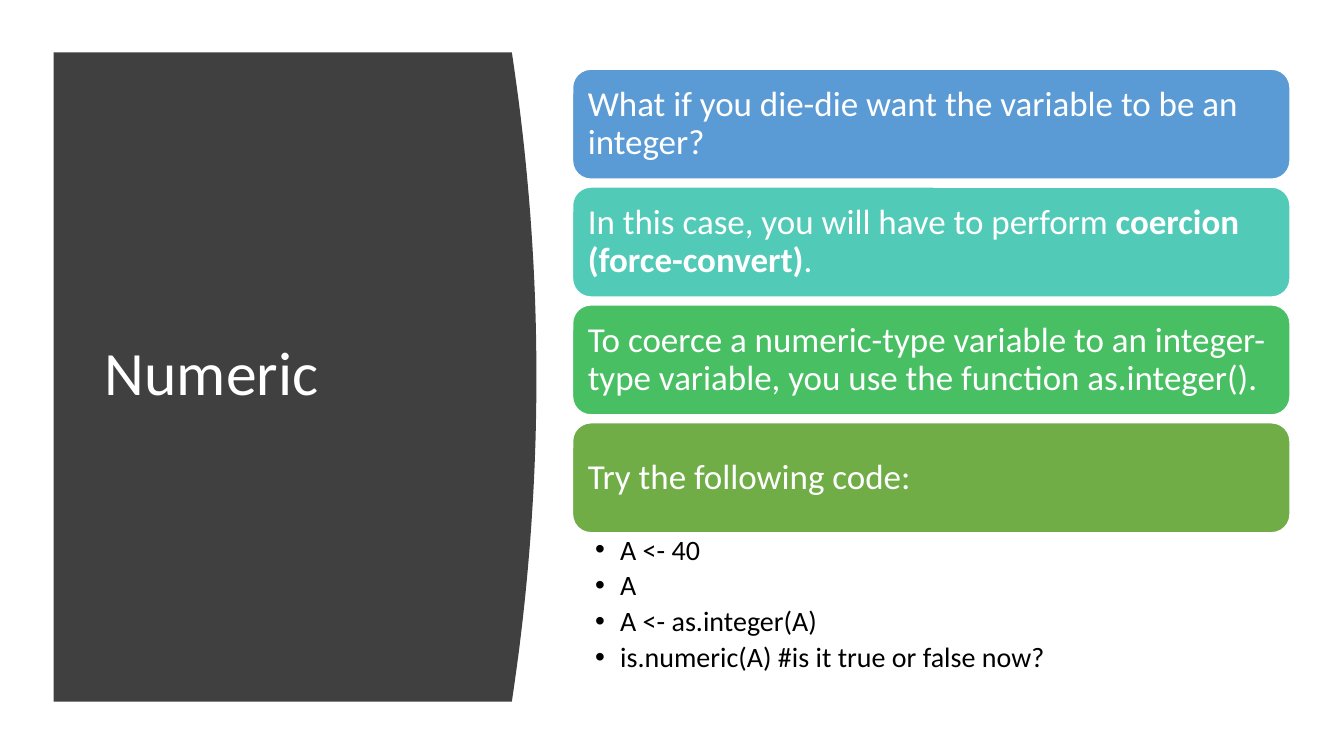
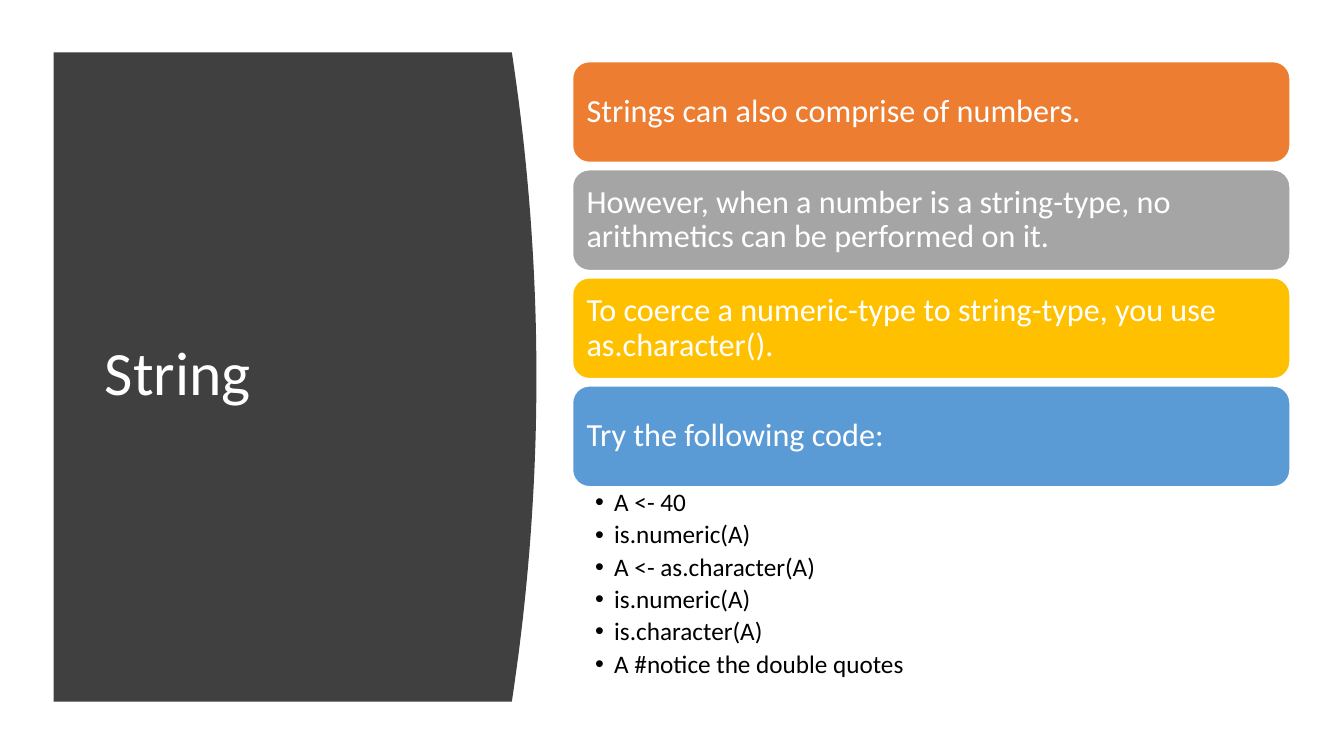
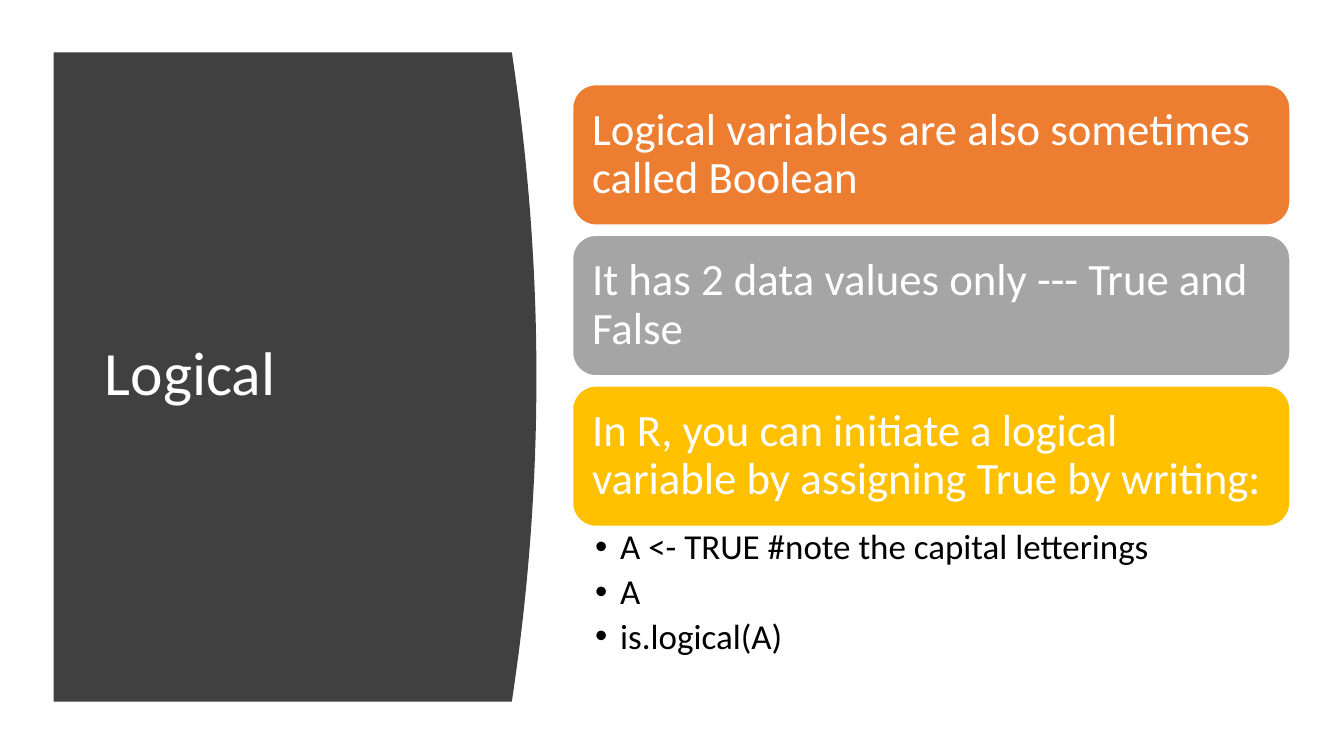
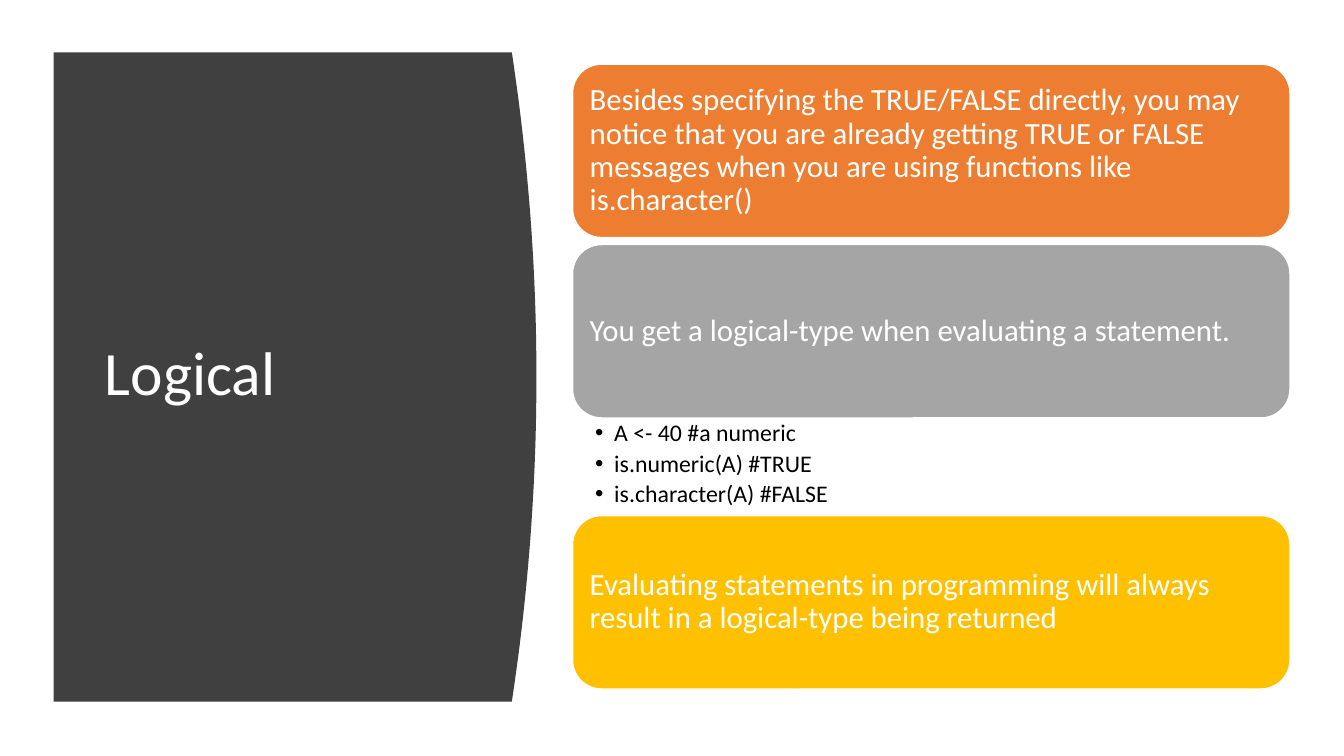
from lxml import etree
from pptx import Presentation
from pptx.dml.color import RGBColor
from pptx.enum.shapes import MSO_SHAPE
from pptx.enum.text import MSO_ANCHOR, PP_ALIGN
from pptx.oxml.ns import qn
from pptx.util import Cm, Pt

ROUND = MSO_SHAPE.ROUNDED_RECTANGLE
MIDDLE = MSO_ANCHOR.MIDDLE
TOP = MSO_ANCHOR.TOP
LEFT = PP_ALIGN.LEFT

FONT = "Calibri"
WHITE = RGBColor(0xFF, 0xFF, 0xFF)
BLACK = RGBColor(0x00, 0x00, 0x00)
DARK = RGBColor(0x40, 0x40, 0x40)
BLUE = RGBColor(0x5B, 0x9B, 0xD5)
TEAL = RGBColor(0x52, 0xCA, 0xB8)
GREEN = RGBColor(0x49, 0xBF, 0x64)
OLIVE = RGBColor(0x70, 0xAD, 0x47)
ORANGE = RGBColor(0xED, 0x7D, 0x31)
GRAY = RGBColor(0xA5, 0xA5, 0xA5)
GOLD = RGBColor(0xFF, 0xC0, 0x00)
COOL = [BLUE, TEAL, GREEN, OLIVE]
WARM = [ORANGE, GRAY, GOLD, BLUE]

STACK_X, STACK_W, STACK_MID = 14.43, 18.08, 9.49
PANEL_X, PANEL_Y, PANEL_W, PANEL_H = 1.35, 1.32, 11.55, 16.36
BULGE = 0.62
STEPS = 40


def style(para, size, color):
    """Give a paragraph the shared font and line spacing."""
    para.alignment = LEFT
    para.line_spacing = 0.9
    font = para.font
    font.name, font.size, font.color.rgb = FONT, Pt(size), color


def inset(frame, left, top, right):
    """Set the margins of a text frame, the bottom as the top."""
    frame.word_wrap = True
    frame.margin_left, frame.margin_right = Cm(left), Cm(right)
    frame.margin_top = frame.margin_bottom = Cm(top)


def add_panel(slide):
    """Draw the dark panel with its bowed right edge behind the title."""
    edge = []
    for i in range(STEPS + 1):
        part = i / STEPS
        bow = BULGE * (1 - (2 * part - 1) ** 2)
        edge.append((Cm(PANEL_X + PANEL_W + bow), Cm(PANEL_Y + PANEL_H * part)))
    edge.append((Cm(PANEL_X), Cm(PANEL_Y + PANEL_H)))
    pen = slide.shapes.build_freeform(Cm(PANEL_X), Cm(PANEL_Y))
    pen.add_line_segments(edge, close=True)
    panel = pen.convert_to_shape()
    panel.shadow.inherit = False
    panel.fill.solid()
    panel.fill.fore_color.rgb = DARK
    panel.line.fill.background()
    slide.shapes.title._element.addprevious(panel._element)


def add_title(slide, text):
    """Place the title on the panel."""
    title = slide.shapes.title
    title.left, title.top = Cm(2.39), Cm(2.82)
    title.width, title.height = Cm(9.5), Cm(13.31)
    frame = title.text_frame
    frame.text = text
    frame.word_wrap = True
    frame.vertical_anchor = MIDDLE
    style(frame.paragraphs[0], 44, WHITE)


def add_box(slide, top, height, text, size, color):
    """Draw a coloured box; text between double stars is bold."""
    box = slide.shapes.add_shape(ROUND, Cm(STACK_X), Cm(top), Cm(STACK_W), Cm(height))
    box.shadow.inherit = False
    box.fill.solid()
    box.fill.fore_color.rgb = color
    box.line.color.rgb = WHITE
    box.line.width = Pt(1)
    frame = box.text_frame
    inset(frame, size / 100, size / 100, size / 100)
    frame.vertical_anchor = MIDDLE
    para = frame.paragraphs[0]
    for i, part in enumerate(text.split("**")):
        run = para.add_run()
        run.text = part
        if i % 2:
            run.font.bold = True
    style(para, size, WHITE)


def add_list(slide, top, height, lines, size):
    """Write the bulleted code lines below a box."""
    area = slide.shapes.add_textbox(Cm(STACK_X), Cm(top), Cm(STACK_W), Cm(height))
    frame = area.text_frame
    inset(frame, 0.57, 0.08, 0.5)
    frame.vertical_anchor = TOP
    hang = Cm(0.63 if size >= 20 else 0.48)
    for i, line in enumerate(lines):
        para = frame.add_paragraph() if i else frame.paragraphs[0]
        para.text = line
        props = para._p.get_or_add_pPr()
        props.set("marL", str(hang))
        props.set("indent", str(-hang))
        etree.SubElement(props, qn("a:buFont")).set("typeface", "Arial")
        etree.SubElement(props, qn("a:buChar")).set("char", "•")
        para.space_after = Pt(round(size * 0.2, 1))
        style(para, size, BLACK)


def add_stack(slide, items, colors, box_h, list_h, size, small):
    """Stack boxes (strings) and code lists around the shared middle."""
    gap = size * 0.008
    kinds = [isinstance(item, str) for item in items]
    gaps = [gap if a and b else 0 for a, b in zip(kinds, kinds[1:])] + [0]
    sizes = [box_h if kind else list_h for kind in kinds]
    top = STACK_MID - (sum(sizes) + sum(gaps)) / 2
    hues = iter(colors)
    for item, kind, height, space in zip(items, kinds, sizes, gaps):
        if kind:
            add_box(slide, top, height, item, size, next(hues))
        else:
            add_list(slide, top, height, item, small)
        top += height + space


def add_page(deck, title, items, colors, *sizes):
    """Add a slide with the panel, title and stack."""
    slide = deck.slides.add_slide(deck.slide_layouts[5])
    add_panel(slide)
    add_title(slide, title)
    add_stack(slide, items, colors, *sizes)


def main():
    """Build the deck and save it."""
    deck = Presentation()
    deck.slide_width, deck.slide_height = Cm(33.87), Cm(19.05)
    add_page(deck, "Numeric", [
        "What if you die-die want the variable to be an integer?",
        "In this case, you will have to perform **coercion (force-convert)**.",
        "To coerce a numeric-type variable to an integer-type variable, "
        "you use the function as.integer().",
        "Try the following code:",
        ["A <- 40", "A", "A <- as.integer(A)",
         "is.numeric(A) #is it true or false now?"],
    ], COOL, 2.77, 3.81, 25, 20)
    add_page(deck, "String", [
        "Strings can also comprise of numbers.",
        "However, when a number is a string-type, no arithmetics can be "
        "performed on it.",
        "To coerce a numeric-type to string-type, you use as.character().",
        "Try the following code:",
        ["A <- 40", "is.numeric(A)", "A <- as.character(A)", "is.numeric(A)",
         "is.character(A)", "A #notice the double quotes"],
    ], WARM, 2.54, 5.16, 23, 18)
    add_page(deck, "Logical", [
        "Logical variables are also sometimes called Boolean",
        "It has 2 data values only --- True and False",
        "In R, you can initiate a logical variable by assigning True by writing:",
        ["A <- TRUE #note the capital letterings", "A", "is.logical(A)"],
    ], WARM, 3.54, 3.58, 32, 25)
    add_page(deck, "Logical", [
        "Besides specifying the TRUE/FALSE directly, you may notice that you "
        "are already getting TRUE or FALSE messages when you are using "
        "functions like is.character()",
        "You get a logical-type when evaluating a statement.",
        ["A <- 40 #a numeric", "is.numeric(A) #TRUE", "is.character(A) #FALSE"],
        "Evaluating statements in programming will always result in a "
        "logical-type being returned",
    ], WARM, 4.37, 2.46, 22, 17)
    deck.save("out.pptx")


if __name__ == "__main__":
    main()
